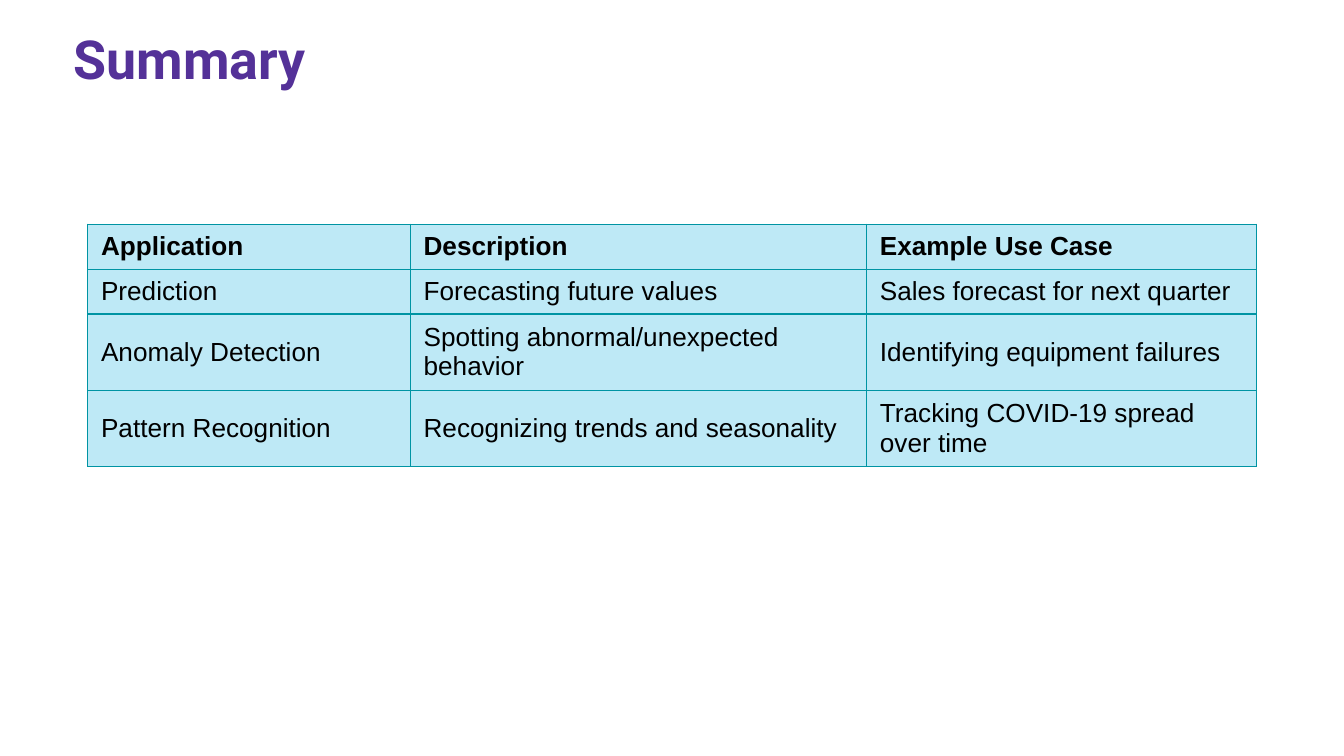
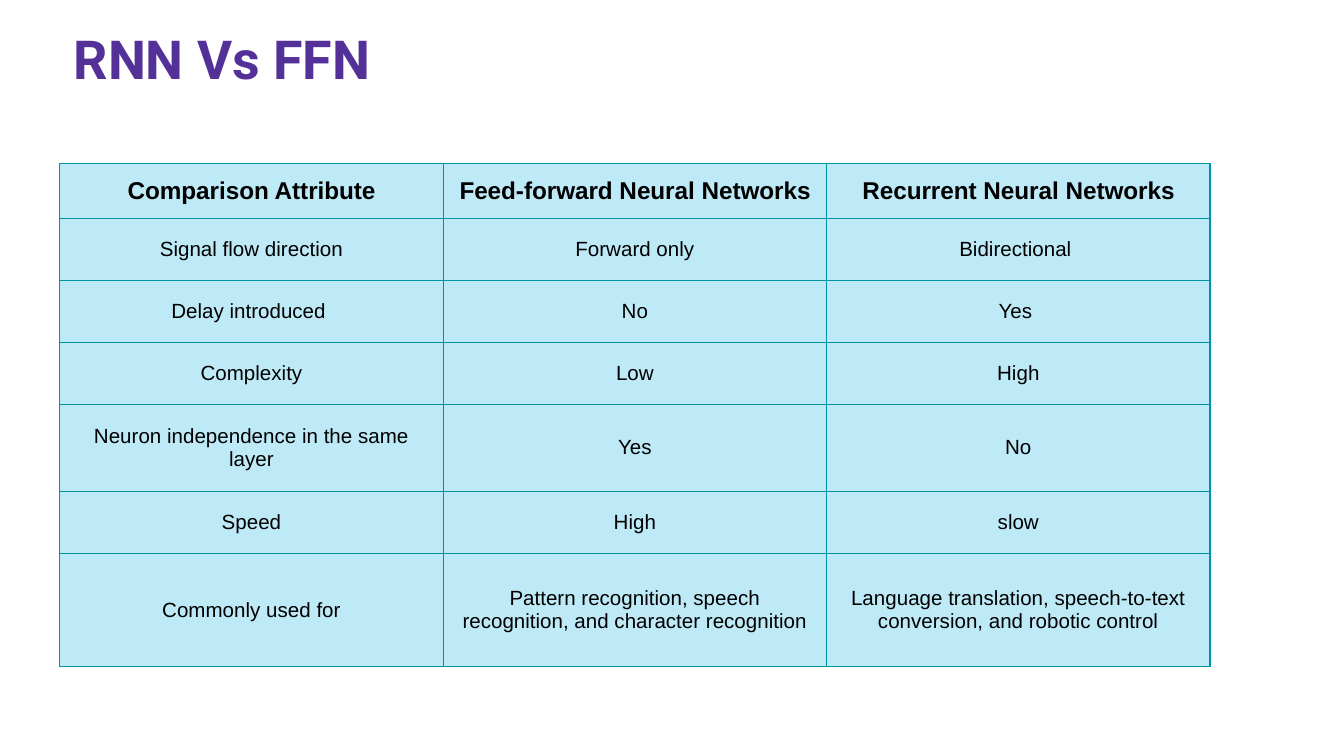
"""Build two slides, each with a title and a bordered table."""
from dataclasses import dataclass

from lxml import etree
from pptx import Presentation
from pptx.dml.color import RGBColor
from pptx.enum.text import MSO_ANCHOR, PP_ALIGN
from pptx.oxml.ns import qn
from pptx.util import Inches, Pt

LEFT, CENTER = PP_ALIGN.LEFT, PP_ALIGN.CENTER
TOP, MIDDLE = MSO_ANCHOR.TOP, MSO_ANCHOR.MIDDLE
COLORS = {"title": "543198", "text": "000000", "cell": "BEE9F6", "border": "0094A3"}
WIDTH = Inches(10)
HEIGHT = WIDTH * 9 // 16
TITLE_BOX = (4.5, 1.6, 91.1, 12.28)
BORDER = Pt(0.75)


@dataclass(frozen=True)
class TextStyle:
    """Character formatting and alignment of a text."""

    size: float
    bold: bool = False
    font: str = "Arial"
    color: str = "text"
    align: PP_ALIGN = LEFT


@dataclass(frozen=True)
class TableSlide:
    """A titled table, with lengths in percent of the slide's size."""

    title: str
    left: float
    top: float
    cols: tuple[float, ...]
    rows: tuple[float, ...]
    head: TextStyle
    body: TextStyle
    head_inset: float
    body_inset: float
    cells: tuple[tuple[str, ...], ...]


TITLE = TextStyle(28.8, True, "Roboto", "title")

SLIDES = (
    TableSlide(
        "Summary", 6.52, 29.67, (24, 33.95, 29), (5.94, 5.94, 10.1, 10.1),
        TextStyle(14, True), TextStyle(14), 0.89, 0.89,
        (
            ("Application", "Description", "Example Use Case"),
            ("Prediction", "Forecasting future values", "Sales forecast for next quarter"),
            ("Anomaly Detection", "Spotting abnormal/unexpected behavior",
             "Identifying equipment failures"),
            ("Pattern Recognition", "Recognizing trends and seasonality",
             "Tracking COVID-19 spread over time"),
        ),
    ),
    TableSlide(
        "RNN Vs FFN", 4.45, 21.65, (28.53,) * 3, (7.2, 8.2, 8.2, 8.2, 11.5, 8.2, 15),
        TextStyle(13, True, align=CENTER), TextStyle(11, align=CENTER), 1.69, 2.26,
        (
            ("Comparison Attribute", "Feed-forward Neural Networks",
             "Recurrent Neural Networks"),
            ("Signal flow direction", "Forward only", "Bidirectional "),
            ("Delay introduced ", "No", "Yes "),
            ("Complexity", "Low", "High"),
            ("Neuron independence in the same layer", "Yes", "No"),
            ("Speed", "High", "slow"),
            ("Commonly used for",
             "Pattern recognition, speech recognition, and character recognition",
             "Language translation, speech-to-text conversion, and robotic control"),
        ),
    ),
)


def px(share: float) -> int:
    """Turn a percentage of the slide's width into a length."""
    return round(WIDTH * share / 100)


def py(share: float) -> int:
    """Turn a percentage of the slide's height into a length."""
    return round(HEIGHT * share / 100)


def rgb(name: str) -> RGBColor:
    """Look up a named colour."""
    return RGBColor.from_string(COLORS[name])


def write(tf, text: str, style: TextStyle) -> None:
    """Write one styled run into a text frame."""
    tf.word_wrap = True
    p = tf.paragraphs[0]
    p.alignment = style.align
    r = p.add_run()
    r.text = text
    r.font.size = Pt(style.size)
    r.font.bold = style.bold
    r.font.name = style.font
    r.font.color.rgb = rgb(style.color)


def set_insets(target, inset: float) -> None:
    """Set the inner margins of a cell or text frame."""
    target.margin_left = target.margin_right = px(1)
    target.margin_top = target.margin_bottom = py(inset)


def add_borders(cell) -> None:
    """Draw the four borders of a cell."""
    tc_pr = cell._tc.get_or_add_tcPr()
    for side in ("a:lnL", "a:lnR", "a:lnT", "a:lnB"):
        ln = etree.SubElement(tc_pr, qn(side), w=str(BORDER))
        fill = etree.SubElement(ln, qn("a:solidFill"))
        etree.SubElement(fill, qn("a:srgbClr"), val=COLORS["border"])


def add_title(s, text: str) -> None:
    """Add the slide title."""
    x, y, w, h = TITLE_BOX
    tf = s.shapes.add_textbox(px(x), py(y), px(w), py(h)).text_frame
    set_insets(tf, 1.78)
    tf.vertical_anchor = TOP
    write(tf, text, TITLE)


def add_table(s, data: TableSlide) -> None:
    """Add the table with its fills, borders and texts."""
    table = s.shapes.add_table(
        len(data.rows), len(data.cols), px(data.left), py(data.top),
        px(sum(data.cols)), py(sum(data.rows)),
    ).table
    table.first_row = table.horz_banding = False
    for col, share in zip(table.columns, data.cols):
        col.width = px(share)
    for i, (row, share) in enumerate(zip(table.rows, data.rows)):
        row.height = py(share)
        style, inset = (data.body, data.body_inset) if i else (data.head, data.head_inset)
        for cell, text in zip(row.cells, data.cells[i]):
            add_borders(cell)
            cell.fill.solid()
            cell.fill.fore_color.rgb = rgb("cell")
            set_insets(cell, inset)
            cell.vertical_anchor = MIDDLE
            write(cell.text_frame, text, style)


def main() -> None:
    """Build and save the presentation."""
    prs = Presentation()
    prs.slide_width, prs.slide_height = WIDTH, HEIGHT
    for data in SLIDES:
        s = prs.slides.add_slide(prs.slide_layouts[6])
        add_title(s, data.title)
        add_table(s, data)
    prs.save("out.pptx")


if __name__ == "__main__":
    main()
